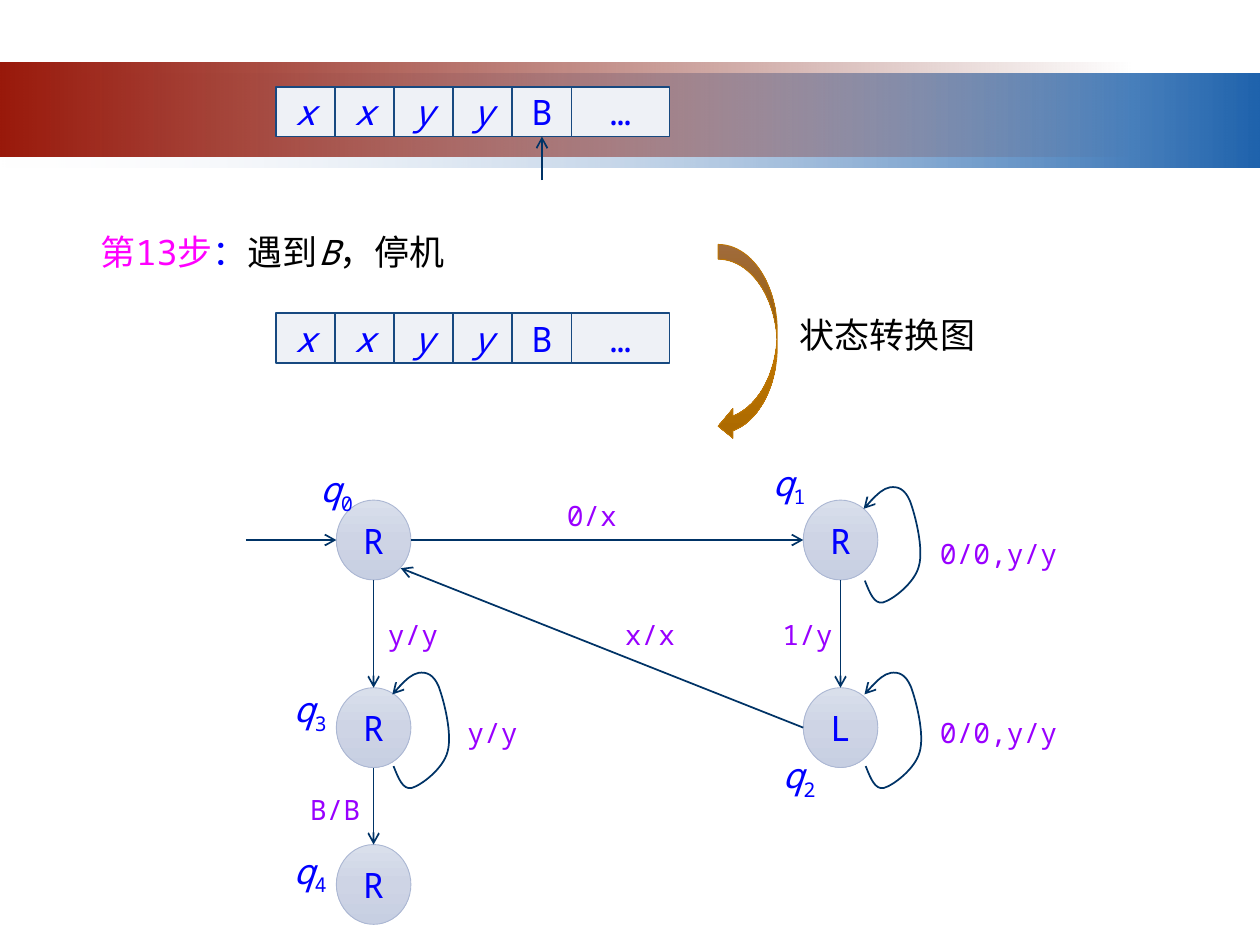
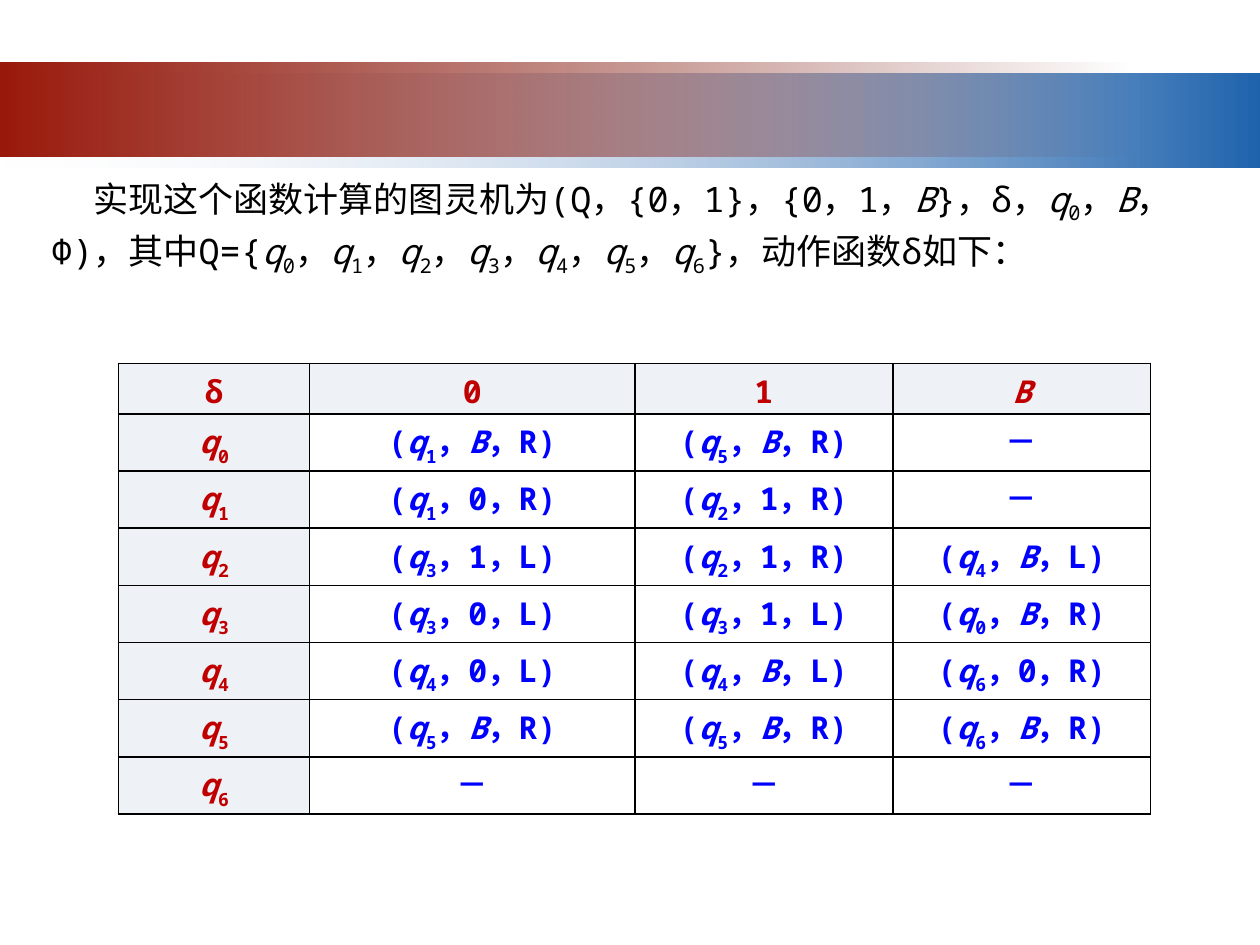
from typing import NamedTuple

from lxml import etree
from pptx import Presentation
from pptx.dml.color import RGBColor
from pptx.enum.shapes import MSO_CONNECTOR, MSO_SHAPE
from pptx.enum.text import MSO_ANCHOR, MSO_AUTO_SIZE, PP_ALIGN
from pptx.oxml.ns import qn
from pptx.util import Pt

RECTANGLE = MSO_SHAPE.RECTANGLE
ELLIPSE = MSO_SHAPE.OVAL
CURVED_ARROW = MSO_SHAPE.CURVED_LEFT_ARROW
STRAIGHT = MSO_CONNECTOR.STRAIGHT
CENTER = PP_ALIGN.CENTER
MIDDLE = MSO_ANCHOR.MIDDLE
GROW = MSO_AUTO_SIZE.SHAPE_TO_FIT_TEXT

FONT = "Noto Sans Mono"
COLORS = {
    "black": "000000", "blue": "0000FF", "magenta": "FF00FF",
    "violet": "9900FF", "red": "C00000", "pale": "EEF1F6",
    "tape": "174980", "arrow": "003366", "node": "ABB7D3", "gold": "BE7602",
}


class Stop(NamedTuple):
    position: int
    color: str
    alpha: int = 100


class Node(NamedTuple):
    action: str
    left: float
    top: float

    @property
    def middle_x(self) -> float:
        return self.left + NODE_WIDTH / 2

    @property
    def middle_y(self) -> float:
        return self.top + NODE_HEIGHT / 2

    @property
    def right(self) -> float:
        return self.left + NODE_WIDTH

    @property
    def bottom(self) -> float:
        return self.top + NODE_HEIGHT


class Label(NamedTuple):
    text: str
    left: float
    top: float
    width: float


BLUE_BAND = [Stop(0, "F1F2F7", 0), Stop(100, "1F63AD")]
RED_BAND = [Stop(0, "99190B"), Stop(100, "6D1208", 0)]
NODE_FILL = [Stop(0, "D9DFEB"), Stop(50, "CED4E5"), Stop(100, "C7CFE2")]
GOLD_FILL = [Stop(0, "C8864B"), Stop(50, "C07600"), Stop(100, "AB6900")]

TAPE_CELLS = ["/x", "/x", "/y", "/y", "B", "…"]
TAPE_LEFT, CELL_WIDTH, CELL_HEIGHT, LAST_CELL_WIDTH = 157.6, 33.8, 28.4, 56
NODE_WIDTH, NODE_HEIGHT = 42.6, 45.6
NODES = {
    "q0": Node("R", 192.2, 285.8),
    "q1": Node("R", 459, 285.8),
    "q2": Node("L", 459, 393),
    "q3": Node("R", 192.2, 393),
    "q4": Node("R", 192.2, 482.6),
}
LOOP_CORNERS = [(494, 383.8), (224.2, 383.8), (493.5, 277.8)]
LOOP_POINTS = [
    (0.7, 54),
    (3.5, 61), (6, 67.5), (11, 66.5),
    (16.5, 65), (29, 55.5), (31.5, 46),
    (34.5, 36), (29.5, 16.5), (26.5, 8.5),
    (23.5, 1.5), (19.5, 0), (15, 0.7),
    (11, 1.5), (5, 7), (0, 13),
]
STATE_LABELS = [
    Label("/q|_0", 175.7, 263.5, 39.6),
    Label("/q|_1", 434.2, 260, 39.6),
    Label("/q|_2", 440, 427, 39.6),
    Label("/q|_3", 160.6, 389.5, 39.6),
    Label("/q|_4", 160.6, 481.7, 39.6),
]
MOVE_LABELS = [
    Label("B/B", 170, 449.3, 56),
    Label("y/y", 214.6, 349.2, 56),
    Label("x/x", 350, 349.2, 56),
    Label("1/y", 440, 349.2, 56),
    Label("0/x", 316.8, 281.5, 56),
    Label("y/y", 260, 405.4, 56),
    Label("0/0,y/y", 530, 405.4, 90),
    Label("0/0,y/y", 530, 303.1, 90),
]

COLUMN_WIDTHS = [109.4, 185.8, 147.4, 147.4]
ROW_HEIGHT = 28.8
# Moves on reading 0, 1 and B, for the states q0 to q6
ACTIONS = [
    ["q1 B R", "q5 B R", "－"],
    ["q1 0 R", "q2 1 R", "－"],
    ["q3 1 L", "q2 1 R", "q4 B L"],
    ["q3 0 L", "q3 1 L", "q0 B R"],
    ["q4 0 L", "q4 B L", "q6 0 R"],
    ["q5 B R", "q5 B R", "q6 B R"],
    ["－", "－", "－"],
]


def rgb(name: str) -> RGBColor:
    return RGBColor.from_string(COLORS[name])


def write(paragraph, markup: str, size: float, color: str,
          bold: bool = False, baseline: int = -25) -> None:
    """Fill a paragraph: "|" parts runs, "/" starts an italic, "_" a subscript."""
    for part in markup.split("|"):
        run = paragraph.add_run()
        run.text = part[1:] if part[0] in "/_" else part
        run.font.size = Pt(size)
        run.font.name = FONT
        run.font.bold = bold
        run.font.italic = part[0] == "/"
        run.font.color.rgb = rgb(color)
        properties = run.font._element
        etree.SubElement(properties, qn("a:ea"), typeface=FONT)
        if part[0] == "_":
            properties.set("baseline", str(baseline * 1000))


def set_gradient(shape, stops: list[Stop], angle: int) -> None:
    shape.fill.gradient()
    shape.fill.gradient_angle = angle
    stop_list = shape._element.spPr.find(".//" + qn("a:gsLst"))
    for old_stop in list(stop_list):
        stop_list.remove(old_stop)
    for stop in stops:
        element = etree.SubElement(stop_list, qn("a:gs"), pos=str(stop.position * 1000))
        color = etree.SubElement(element, qn("a:srgbClr"), val=stop.color)
        if stop.alpha < 100:
            etree.SubElement(color, qn("a:alpha"), val=str(stop.alpha * 1000))


def add_shape(slide, kind, left: float, top: float, width: float, height: float,
              line: str = "", line_width: float = 1):
    shape = slide.shapes.add_shape(kind, Pt(left), Pt(top), Pt(width), Pt(height))
    shape.shadow.inherit = False
    if line:
        shape.line.color.rgb = rgb(line)
        shape.line.width = Pt(line_width)
    else:
        shape.line.fill.background()
    return shape


def write_centered(shape, markup: str) -> None:
    shape.text_frame.vertical_anchor = MIDDLE
    paragraph = shape.text_frame.paragraphs[0]
    paragraph.alignment = CENTER
    write(paragraph, markup, 20, "blue")


def add_text(slide, label: Label, size: float, color: str):
    box = slide.shapes.add_textbox(Pt(label.left), Pt(label.top),
                                   Pt(label.width), Pt(size * 1.6))
    box.text_frame.word_wrap = True
    box.text_frame.auto_size = GROW
    paragraph = box.text_frame.paragraphs[0]
    write(paragraph, label.text, size, color)
    return paragraph


def style_arrow(shape) -> None:
    shape.line.color.rgb = rgb("arrow")
    shape.line.width = Pt(1)
    etree.SubElement(shape.line._get_or_add_ln(), qn("a:tailEnd"), type="arrow")


def add_arrow(slide, start_x: float, start_y: float, end_x: float, end_y: float):
    connector = slide.shapes.add_connector(
        STRAIGHT, Pt(start_x), Pt(start_y), Pt(end_x), Pt(end_y))
    style_arrow(connector)
    etree.SubElement(connector._element.spPr, qn("a:effectLst"))
    return connector


def add_loop(slide, left: float, top: float) -> None:
    """Draw the curved arrow from a state back to itself."""
    points = [(Pt(left + x), Pt(top + y)) for x, y in LOOP_POINTS]
    builder = slide.shapes.build_freeform(*points[0])
    builder.add_line_segments(points[1:], close=False)
    loop = builder.convert_to_shape()
    outline = loop._element.spPr.find(".//" + qn("a:path"))
    segments = outline.findall(qn("a:lnTo"))
    for first in range(0, len(segments), 3):
        curve = etree.SubElement(outline, qn("a:cubicBezTo"))
        for segment in segments[first:first + 3]:
            curve.append(segment[0])
            outline.remove(segment)
    loop.shadow.inherit = False
    loop.fill.background()
    style_arrow(loop)


def add_tape(slide, top: float) -> list:
    cells = []
    for index, symbol in enumerate(TAPE_CELLS):
        width = LAST_CELL_WIDTH if symbol == "…" else CELL_WIDTH
        cell = add_shape(slide, RECTANGLE, TAPE_LEFT + index * CELL_WIDTH, top,
                         width, CELL_HEIGHT, "tape")
        cell.fill.solid()
        cell.fill.fore_color.rgb = rgb("pale")
        write_centered(cell, symbol)
        cells.append(cell)
    return cells


def add_master_bands(presentation, slide) -> None:
    """Draw the two bands and move them to the slide master."""
    tree = presentation.slide_master.shapes._spTree
    bands = [(41.8, 720, BLUE_BAND), (35.6, 648, RED_BAND)]
    for index, (top, width, stops) in enumerate(bands):
        band = add_shape(slide, RECTANGLE, 0, top, width, 54)
        set_gradient(band, stops, 0)
        band._element.nvSpPr.cNvPr.set("id", str(101 + index))
        tree.insert(2 + index, band._element)


def build_state_diagram(slide) -> None:
    tape = add_tape(slide, 49.7)
    head_x = TAPE_LEFT + 4.5 * CELL_WIDTH
    add_arrow(slide, head_x, 103, head_x, 78.1).end_connect(tape[4], 2)

    step = add_text(slide, Label("第13步|：|遇到|/B|，停机", 50.4, 128.2, 326), 20, "black")
    for run, color in zip(step.runs, ["magenta", "blue"]):
        run.font.color.rgb = rgb(color)
    add_tape(slide, 179)

    for node in NODES.values():
        circle = add_shape(slide, ELLIPSE, node.left, node.top,
                           NODE_WIDTH, NODE_HEIGHT, "node", 0.5)
        set_gradient(circle, NODE_FILL, 270)
        write_centered(circle, node.action)

    q0, q1, q2 = NODES["q0"], NODES["q1"], NODES["q2"]
    add_arrow(slide, 140.5, q0.middle_y, q0.left, q0.middle_y)
    add_arrow(slide, q0.right, q0.middle_y, q1.left, q1.middle_y)
    add_arrow(slide, q2.left, q2.middle_y, 229, 324.7)
    for upper, lower in [("q1", "q2"), ("q0", "q3"), ("q3", "q4")]:
        source, target = NODES[upper], NODES[lower]
        add_arrow(slide, source.middle_x, source.bottom, target.middle_x, target.top)
    for corner in LOOP_CORNERS:
        add_loop(slide, *corner)

    for label in STATE_LABELS:
        add_text(slide, label, 20, "blue")
    for label in MOVE_LABELS:
        add_text(slide, label, 16, "violet")

    turn = add_shape(slide, CURVED_ARROW, 410.4, 139.7, 33.8, 112.3, "gold", 0.5)
    set_gradient(turn, GOLD_FILL, 270)
    add_text(slide, Label("状态转换图", 450, 175.7, 129.6), 20, "black")


def action_markup(action: str) -> str:
    if action == "－":
        return action
    state, symbol, move = action.split()
    written = "|/B|，" if symbol == "B" else f"{symbol}，"
    return f"(|/q|_{state[1]}|，{written}{move})"


def fill_cell(cell, markup: str, heading: bool) -> None:
    properties = cell._tc.get_or_add_tcPr()
    for side in ("lnL", "lnR", "lnT", "lnB"):
        border = etree.SubElement(properties, qn(f"a:{side}"), w=str(Pt(1)))
        fill = etree.SubElement(border, qn("a:solidFill"))
        etree.SubElement(fill, qn("a:srgbClr"), val=COLORS["black"])
    if heading:
        cell.fill.solid()
        cell.fill.fore_color.rgb = rgb("pale")
    else:
        cell.fill.background()
    paragraph = cell.text_frame.paragraphs[0]
    paragraph.alignment = CENTER
    write(paragraph, markup, 18, "red" if heading else "blue", True, -30)


def build_action_table(slide) -> None:
    states = "|，|".join(f"/q|_{number}" for number in range(len(ACTIONS)))
    definition = ("实现这个函数计算的图灵机为(Q，{0，1}，{0，1，|/B|}，δ，|/q|_0|，|/B|"
                  "，Φ)，其中Q={|" + states + "|}，动作函数δ如下：")
    paragraph = add_text(slide, Label(definition, 22.3, 95, 677.5), 20, "black")
    paragraph.line_spacing = Pt(30)
    paragraph._p.get_or_add_pPr().set("indent", str(Pt(24)))

    rows = [["δ", "0", "1", "/B"]]
    for number, actions in enumerate(ACTIONS):
        rows.append([f"/q|_{number}"] + [action_markup(action) for action in actions])
    table = slide.shapes.add_table(
        len(rows), len(COLUMN_WIDTHS), Pt(67.6), Pt(207.6),
        Pt(sum(COLUMN_WIDTHS)), Pt(ROW_HEIGHT * len(rows))).table
    table.first_row = False
    table.horz_banding = False
    for column, width in zip(table.columns, COLUMN_WIDTHS):
        column.width = Pt(width)
    for row_index, row in enumerate(rows):
        for column_index, markup in enumerate(row):
            heading = row_index == 0 or column_index == 0
            fill_cell(table.cell(row_index, column_index), markup, heading)


def main() -> None:
    presentation = Presentation()
    presentation.slide_width = Pt(720)
    presentation.slide_height = Pt(540)
    blank_layout = presentation.slide_layouts[6]
    diagram_slide = presentation.slides.add_slide(blank_layout)
    add_master_bands(presentation, diagram_slide)
    build_state_diagram(diagram_slide)
    build_action_table(presentation.slides.add_slide(blank_layout))
    presentation.save("out.pptx")


if __name__ == "__main__":
    main()
